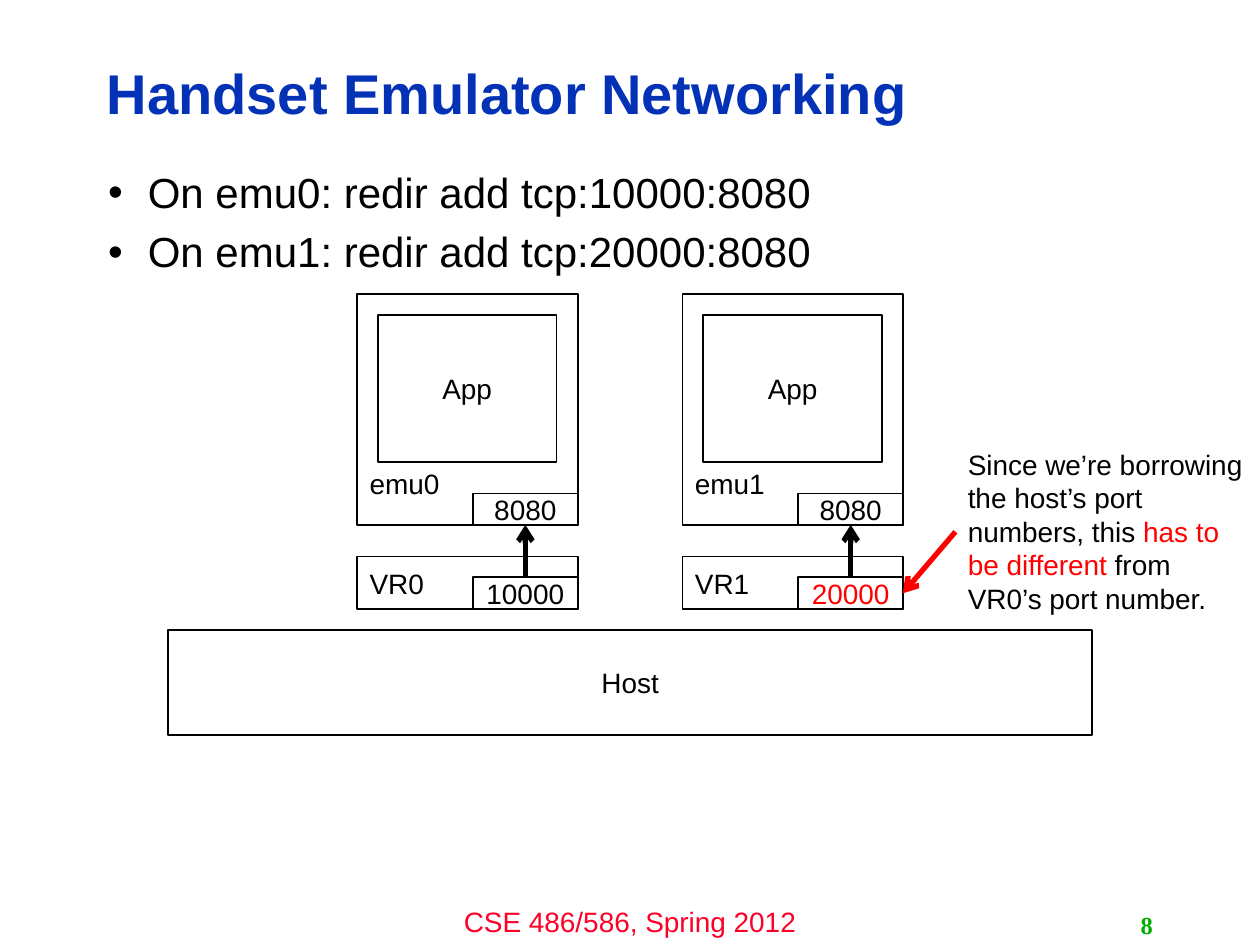
import pptx
import pptx.util
import pptx.dml.color
import pptx.enum.shapes
import pptx.enum.text
import lxml.etree
from dataclasses import dataclass

Cm = pptx.util.Cm
Pt = pptx.util.Pt
Align = pptx.enum.text.PP_ALIGN
Anchor = pptx.enum.text.MSO_ANCHOR
NS = "http://schemas.openxmlformats.org/drawingml/2006/main"


@dataclass(frozen=True)
class Theme:
    """Colours, fonts and type sizes."""
    white: str = "FFFFFF"
    black: str = "000000"
    red: str = "FF0000"
    title: str = "0332B7"
    foot: str = "FC0128"
    page: str = "00AE00"
    sans: str = "Arial"
    serif: str = "Times New Roman"
    head_pt: int = 32
    list_pt: int = 24
    text_pt: int = 16
    page_pt: int = 14


THEME = Theme()


def rgb(code):
    """Turn a hex code into a colour."""
    return pptx.dml.color.RGBColor.from_string(code)


def style(para, size=THEME.text_pt, color=THEME.black, face=THEME.sans,
          bold=False, align=Align.LEFT):
    """Set the font and alignment of a paragraph."""
    para.alignment = align
    para.font.size = Pt(size)
    para.font.name = face
    para.font.bold = bold
    para.font.color.rgb = rgb(color)


def node(parent, tag, **attrs):
    """Append a drawing element."""
    return lxml.etree.SubElement(parent, f"{{{NS}}}{tag}", attrs)


def label(slide, x, y, w, h, text, anchor=Anchor.TOP, wrap=True, **look):
    """Add a one-paragraph text box and return its frame."""
    frame = slide.shapes.add_textbox(Cm(x), Cm(y), Cm(w), Cm(h)).text_frame
    frame.word_wrap = wrap
    frame.vertical_anchor = anchor
    frame.text = text
    style(frame.paragraphs[0], **look)
    return frame


def box(slide, x, y, w, h, text, align=Align.CENTER, color=THEME.black):
    """Add an outlined box with a label and return its frame."""
    shape = slide.shapes.add_shape(pptx.enum.shapes.MSO_SHAPE.RECTANGLE,
                                   Cm(x), Cm(y), Cm(w), Cm(h))
    shape.shadow.inherit = False
    shape.fill.solid()
    shape.fill.fore_color.rgb = rgb(THEME.white)
    shape.line.color.rgb = rgb(THEME.black)
    shape.line.width = Pt(1)
    frame = shape.text_frame
    frame.vertical_anchor = Anchor.MIDDLE
    frame.text = text
    style(frame.paragraphs[0], color=color, align=align)
    return frame


def arrow(slide, x1, y1, x2, y2, color=THEME.black):
    """Add an arrow that points at the second end."""
    line = slide.shapes.add_connector(
        pptx.enum.shapes.MSO_CONNECTOR.STRAIGHT, Cm(x1), Cm(y1), Cm(x2), Cm(y2))
    line.line.color.rgb = rgb(color)
    line.line.width = Pt(3)
    node(line.line._get_or_add_ln(), "tailEnd", type="arrow")
    node(line._element.spPr, "effectLst")


def title(slide, text):
    """Place and fill the title."""
    head = slide.shapes.title
    head.left, head.top, head.width, head.height = (
        Cm(1.9), Cm(0.92), Cm(20.27), Cm(2.05))
    head.text_frame.text = text
    head.text_frame.vertical_anchor = Anchor.MIDDLE
    para = head.text_frame.paragraphs[0]
    style(para, THEME.head_pt, THEME.title, bold=True)
    para.line_spacing = 0.9


def bullets(slide, items):
    """Add the bulleted list."""
    frame = label(slide, 1.93, 3.35, 21.34, 13.69, "\n".join(items))
    for i, para in enumerate(frame.paragraphs):
        style(para, THEME.list_pt)
        para.line_spacing = 0.9
        para.space_before = Pt(8 if i else 0)
        props = para._p.get_or_add_pPr()
        props.set("marL", str(Cm(0.8)))
        props.set("indent", str(-Cm(0.8)))
        node(props, "buFont", typeface=THEME.sans)
        node(props, "buChar", char="•")


def stack(slide, x, num, port, color):
    """Draw one emulator with its router and port redirect."""
    wide, slot, thin = 4.45, 2.12, 0.64
    slot_x = x + wide - slot
    mid = slot_x + slot / 2
    frame = box(slide, x, 5.93, wide, 4.65, f"emu{num}", Align.LEFT)
    frame.vertical_anchor = Anchor.BOTTOM
    frame.margin_bottom = Cm(0.5)
    box(slide, x + 0.42, 6.35, 3.6, 2.96, "App")
    box(slide, x, 11.22, wide, 1.06, f"VR{num}", Align.LEFT)
    box(slide, slot_x, 9.95, slot, thin, "8080")
    box(slide, slot_x, 11.64, slot, thin, port, color=color)
    arrow(slide, mid, 11.64, mid, 10.58)


def note(slide):
    """Add the remark on port numbers and its arrow."""
    arrow(slide, 19.26, 10.72, 18.2, 11.96, THEME.red)
    frame = label(slide, 19.26, 8.89, 6.14, 3.68, "")
    para = frame.paragraphs[0]
    parts = (("Since we’re borrowing the host’s port numbers, this ", THEME.black),
             ("has to be different", THEME.red),
             (" from VR0’s port number.", THEME.black))
    for text, color in parts:
        run = para.add_run()
        run.text = text
        run.font.color.rgb = rgb(color)


def main():
    """Build and save the slide."""
    deck = pptx.Presentation()
    deck.slide_width, deck.slide_height = Cm(25.4), Cm(19.05)
    slide = deck.slides.add_slide(deck.slide_layouts[5])
    title(slide, "Handset Emulator Networking")
    bullets(slide, ["On emu0: redir add tcp:10000:8080",
                    "On emu1: redir add tcp:20000:8080"])
    box(slide, 3.39, 12.7, 18.63, 2.12, "Host")
    ports = (("10000", THEME.black), ("20000", THEME.red))
    for num, (port, color) in enumerate(ports):
        stack(slide, 7.2 + 6.56 * num, num, port, color)
    note(slide)
    label(slide, 8.47, 18.11, 8.46, 0.94, "CSE 486/586, Spring 2012",
          color=THEME.foot, align=Align.CENTER)
    label(slide, 18.21, 18.24, 5.28, 0.81, "8", Anchor.MIDDLE,
          size=THEME.page_pt, color=THEME.page, face=THEME.serif,
          bold=True, align=Align.RIGHT)
    deck.save("out.pptx")


main()
